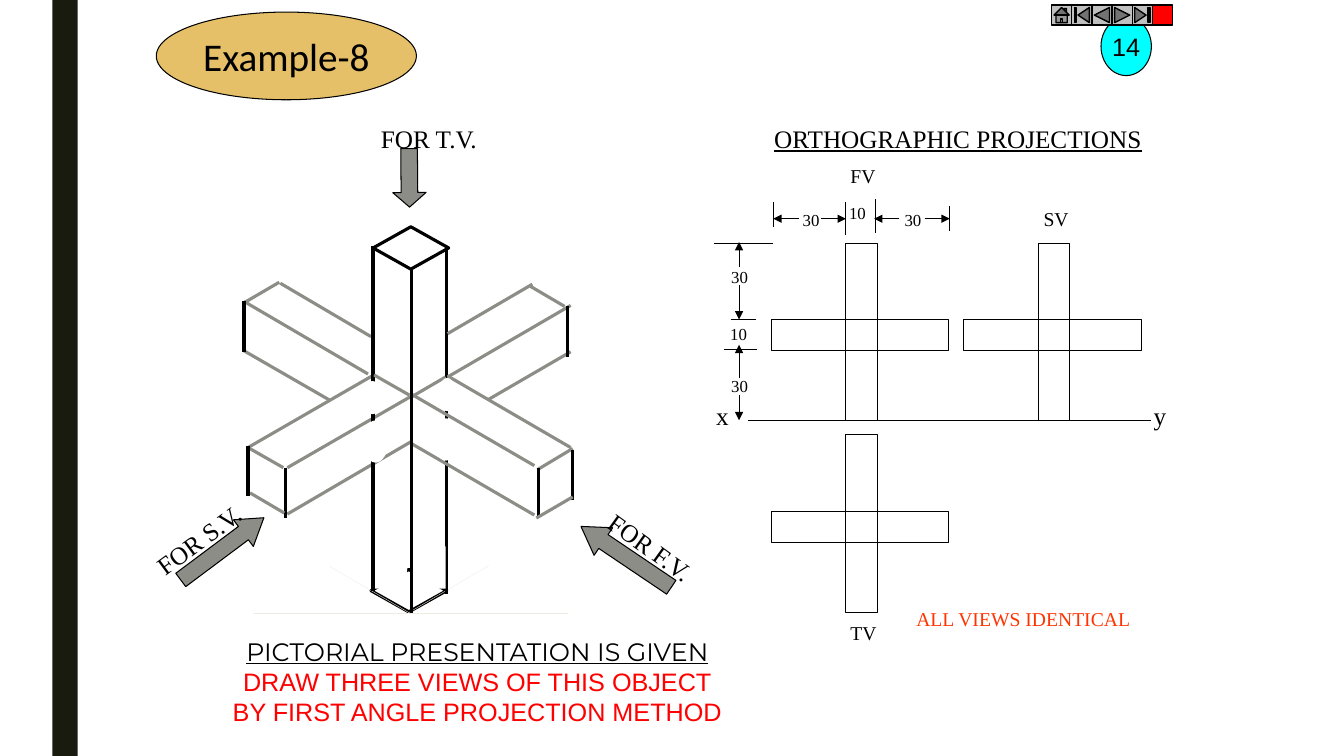
"""Build the Example-8 slide: a pictorial cross of square bars and its three orthographic views."""
from dataclasses import dataclass

from lxml import etree
from pptx import Presentation
from pptx.dml.color import RGBColor
from pptx.enum.shapes import MSO_CONNECTOR, MSO_SHAPE
from pptx.enum.text import MSO_ANCHOR, MSO_AUTO_SIZE, PP_ALIGN
from pptx.oxml.ns import qn
from pptx.util import Inches, Pt

RECT, OVAL, DIAMOND = MSO_SHAPE.RECTANGLE, MSO_SHAPE.OVAL, MSO_SHAPE.DIAMOND
ARROW = MSO_SHAPE.LEFT_ARROW
STRAIGHT = MSO_CONNECTOR.STRAIGHT
LEFT, CENTER, MIDDLE = PP_ALIGN.LEFT, PP_ALIGN.CENTER, MSO_ANCHOR.MIDDLE
FIT = MSO_AUTO_SIZE.SHAPE_TO_FIT_TEXT
NAV_BUTTONS = [MSO_SHAPE.ACTION_BUTTON_HOME, MSO_SHAPE.ACTION_BUTTON_BEGINNING,
               MSO_SHAPE.ACTION_BUTTON_BACK_OR_PREVIOUS,
               MSO_SHAPE.ACTION_BUTTON_FORWARD_OR_NEXT,
               MSO_SHAPE.ACTION_BUTTON_END, MSO_SHAPE.ACTION_BUTTON_CUSTOM]
BLACK, WHITE, GRAY, FAINT, RED = "000000", "FFFFFF", "8C8D86", "EFEDE3", "FF0000"
SERIF = "Times New Roman"
BAR_LENGTH, BAR_WIDTH = 1.76, 0.31


@dataclass
class Box:
    kind: int
    x: float
    y: float
    w: float
    h: float
    fill: str = WHITE
    line: float = 0
    rot: float = 0


@dataclass
class Edge:
    x1: float
    y1: float
    x2: float
    y2: float
    color: str = BLACK
    weight: float = 2.25
    arrow: bool = False


@dataclass
class Label:
    text: str
    x: float
    y: float
    w: float
    h: float
    size: float
    font: str = SERIF
    color: str = BLACK
    align: int = CENTER
    underline: bool = False
    rot: float = 0


@dataclass
class View:
    x: float
    y: float
    label: Label


@dataclass
class Sight:
    arrow: Box
    head: float
    label: Label


PICTORIAL = [
    Box(DIAMOND, 3.68, 5.65, 0.75, 0.42, line=2.25),
    Edge(4.05, 6.08, 4.85, 5.61, FAINT, 0.25), Edge(4.06, 6.08, 3.27, 5.62, FAINT, 0.25),
    Edge(4.07, 3.9, 4.07, 6.08, FAINT, 0.25), Edge(2.51, 6.08, 5.63, 6.08, FAINT, 0.25),
    Edge(4.43, 5.89, 4.43, 2.47),
    Box(DIAMOND, 3.7, 2.25, 0.75, 0.42, line=2.25),
    Edge(2.85, 4.64, 4.08, 3.93, GRAY), Edge(2.46, 4.44, 3.69, 3.73, GRAY),
    Edge(2.85, 5.1, 4.08, 4.38, GRAY), Edge(5.3, 4.62, 4.08, 3.91, GRAY),
    Edge(5.3, 5.11, 4.08, 4.4, GRAY), Edge(5.66, 4.44, 4.44, 3.73, GRAY),
    Edge(5.6, 3.04, 5.26, 2.84, GRAY), Edge(4.44, 3.74, 5.66, 3.03, GRAY),
    Edge(4.44, 3.31, 5.28, 2.82, GRAY), Edge(4.85, 3.96, 5.66, 3.49, GRAY),
    Edge(5.63, 3.04, 5.63, 3.54), Edge(2.81, 4.64, 2.46, 4.44, GRAY),
    Edge(2.83, 4.64, 2.83, 5.14), Edge(2.82, 5.09, 2.48, 4.89, GRAY),
    Edge(2.46, 4.42, 2.46, 4.92), Edge(5.33, 4.66, 5.68, 4.45, GRAY),
    Edge(5.34, 4.64, 5.34, 5.14), Edge(5.68, 4.46, 5.68, 4.96),
    Edge(5.32, 5.14, 5.68, 4.93, GRAY), Edge(3.65, 3.71, 2.42, 2.99, GRAY),
    Edge(3.27, 3.97, 2.42, 3.48, GRAY), Edge(3.68, 3.34, 2.78, 2.81, GRAY),
    Edge(2.41, 3.01, 2.77, 2.8, GRAY), Edge(2.42, 2.99, 2.42, 3.49),
    Box(RECT, 3.71, 5.42, 0.33, 0.42), Box(RECT, 4.09, 5.42, 0.33, 0.42),
    Edge(4.06, 3.95, 4.42, 3.74, GRAY),
    Box(OVAL, 4.3, 4.15, 0.25, 0.42), Box(OVAL, 4.35, 3.75, 0.17, 0.33),
    Edge(3.7, 5.86, 3.7, 2.44), Edge(4.08, 6.08, 4.08, 2.67),
    Box(OVAL, 3.6, 4.17, 0.25, 0.42),
    Edge(4.06, 3.92, 3.71, 3.72, GRAY),
    Box(OVAL, 3.61, 3.78, 0.17, 0.33),
]
SIDE_VIEW = View(9.56, 3.17, Label("SV", 10.25, 2, 0.45, 0.33, 14))
TOP_VIEW = View(7.65, 5.07, Label("TV", 8.33, 6.11, 0.47, 0.33, 14))
FRONT_VIEW = View(7.65, 3.17, Label("FV", 8.33, 1.58, 0.46, 0.33, 14))
XY_LINE = Edge(7.42, 4.17, 11.42, 4.17, weight=0.75)
EXTENSION_LINES = [
    (7.08, 2.42, 7.67, 2.42), (7.25, 3.17, 7.5, 3.17), (7.18, 3.47, 7.51, 3.47),
    (9.42, 2.04, 9.42, 2.29), (7.67, 2, 7.67, 2.25), (8.39, 2.33, 8.39, 2),
    (8.68, 2.31, 8.68, 1.97),
]
DIMENSION_ARROWS = [
    (7.33, 2.83, 7.33, 3.17), (7.33, 3.75, 7.33, 3.42), (7.33, 3.92, 7.33, 4.17),
    (7.33, 2.65, 7.33, 2.4), (8.92, 2.17, 8.67, 2.17), (9.17, 2.17, 9.42, 2.17),
    (8.14, 2.17, 8.39, 2.17), (7.92, 2.17, 7.67, 2.17),
]
DIMENSIONS = [("30", 7.15, 2.6), ("30", 7.15, 3.68), ("10", 7.14, 3.16),
              ("30", 7.86, 2.03), ("10", 8.32, 1.96), ("30", 8.87, 2.03)]
SIGHTS = [
    Sight(Box(ARROW, 3.77, 1.6, 0.58, 0.33, GRAY, 0.75, 269.5), 0.438,
          Label("FOR T.V.", 3.68, 1.17, 1.16, 0.4, 18, align=LEFT)),
    Sight(Box(ARROW, 1.69, 5.28, 1.03, 0.33, GRAY, 0.75, 143.2), 0.771,
          Label("FOR S.V.", 1.39, 5.15, 1.17, 0.4, 18, align=LEFT, rot=323.8)),
    Sight(Box(ARROW, 5.67, 5.36, 1.08, 0.33, GRAY, 0.75, 34), 0.812,
          Label("FOR F.V.", 5.88, 5.23, 1.15, 0.4, 18, align=LEFT, rot=35.6)),
]


def rgb(color: str) -> RGBColor:
    return RGBColor.from_string(color)


def format_runs(p, size: float, font: str, color: str, align=CENTER, underline=False) -> None:
    p.alignment = align
    for r in p.runs:
        r.font.size, r.font.name = Pt(size), font
        r.font.color.rgb = rgb(color)
        r.font.underline = underline


def add_box(s, box: Box):
    sp = s.shapes.add_shape(box.kind, Inches(box.x), Inches(box.y), Inches(box.w), Inches(box.h))
    sp.shadow.inherit = False
    sp.rotation = box.rot
    sp.fill.solid()
    sp.fill.fore_color.rgb = rgb(box.fill)
    if box.line:
        sp.line.color.rgb = rgb(BLACK)
        sp.line.width = Pt(box.line)
    else:
        sp.line.fill.background()
    return sp


def add_badge(s, box: Box, text: str, size: float, font: str) -> None:
    tf = add_box(s, box).text_frame
    tf.text = text
    tf.word_wrap = False
    tf.vertical_anchor = MIDDLE
    format_runs(tf.paragraphs[0], size, font, BLACK)


def add_edge(s, edge: Edge) -> None:
    cn = s.shapes.add_connector(STRAIGHT, Inches(edge.x1), Inches(edge.y1),
                                Inches(edge.x2), Inches(edge.y2))
    cn.line.color.rgb = rgb(edge.color)
    cn.line.width = Pt(edge.weight)
    if edge.arrow:
        etree.SubElement(cn.line._get_or_add_ln(), qn("a:tailEnd"), type="triangle")
    etree.SubElement(cn._element.spPr, qn("a:effectLst"))


def add_label(s, label: Label):
    sp = s.shapes.add_textbox(Inches(label.x), Inches(label.y), Inches(label.w), Inches(label.h))
    sp.rotation = label.rot
    tf = sp.text_frame
    tf.text = label.text
    tf.word_wrap = False
    tf.auto_size = FIT
    for p in tf.paragraphs:
        format_runs(p, label.size, label.font, label.color, label.align, label.underline)
    return tf


def add_view(s, view: View) -> None:
    arm = (BAR_LENGTH - BAR_WIDTH) / 2
    x = view.x + arm + 0.015
    add_box(s, Box(RECT, view.x, view.y, BAR_LENGTH, BAR_WIDTH, line=0.75))
    add_box(s, Box(RECT, x, view.y - arm - 0.03, BAR_WIDTH, BAR_LENGTH, line=0.75))
    add_box(s, Box(RECT, x, view.y, BAR_WIDTH, BAR_WIDTH, line=0.75))
    add_label(s, view.label)


def main() -> None:
    prs = Presentation()
    prs.slide_width, prs.slide_height = Inches(13.33), Inches(7.5)
    s = prs.slides.add_slide(prs.slide_layouts[6])
    add_box(s, Box(RECT, 0.52, 0, 0.25, 7.5, "191B0E"))
    for part in PICTORIAL:
        if isinstance(part, Edge):
            add_edge(s, part)
        else:
            add_box(s, part)
    add_badge(s, Box(OVAL, 1.55, 0.12, 2.58, 0.87, "E6C069", 0.75), "Example-8", 28, "Calibri")
    add_view(s, SIDE_VIEW)
    add_view(s, TOP_VIEW)
    add_edge(s, XY_LINE)
    add_view(s, FRONT_VIEW)
    for text, x in (("x", 7), ("y", 11.34)):
        add_label(s, Label(text, x, 3.92, 0.33, 0.4, 18))
    for ends in EXTENSION_LINES:
        add_edge(s, Edge(*ends, weight=0.75))
    for ends in DIMENSION_ARROWS:
        add_edge(s, Edge(*ends, weight=0.75, arrow=True))
    for text, x, y in DIMENSIONS:
        add_label(s, Label(text, x, y, 0.37, 0.3, 12))
    add_label(s, Label("ALL VIEWS IDENTICAL", 8.98, 5.97, 2.34, 0.34, 14, color="FF3300"))
    for sight in SIGHTS:
        add_box(s, sight.arrow).adjustments[1] = sight.head
        add_label(s, sight.label)
    task = add_label(s, Label("PICTORIAL PRESENTATION IS GIVEN\nDRAW THREE VIEWS OF THIS OBJECT\n"
                              "BY FIRST ANGLE PROJECTION METHOD", 2.07, 6.26, 5.33, 1, 18,
                              "Arial", RED))
    format_runs(task.paragraphs[0], 18, "Montserrat", BLACK, underline=True)
    add_badge(s, Box(OVAL, 10.92, 0.17, 0.5, 0.58, "00FFFF", 0.75), "14", 18, "Arial")
    add_label(s, Label("ORTHOGRAPHIC PROJECTIONS", 7.58, 1.17, 3.88, 0.4, 18,
                       align=LEFT, underline=True))
    for i, kind in enumerate(NAV_BUTTONS):
        fill = RED if kind == NAV_BUTTONS[-1] else "C0C0C0"
        add_box(s, Box(kind, 10.43 + 0.2 * i, 0.05, 0.2, 0.2, fill, 1))
    prs.save("out.pptx")


if __name__ == "__main__":
    main()
